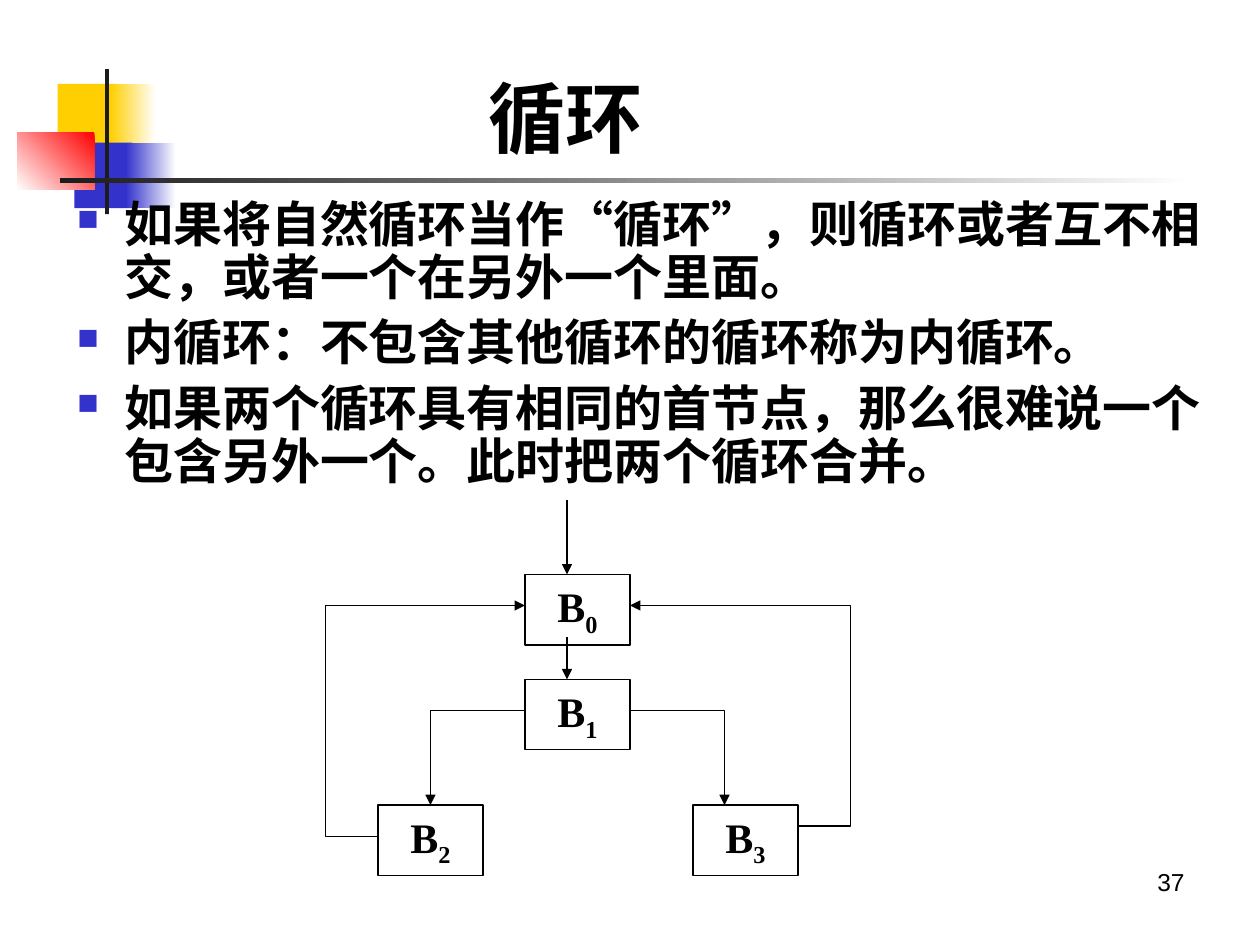
from dataclasses import dataclass

from lxml.etree import SubElement
from pptx import Presentation
from pptx.dml.color import RGBColor
from pptx.enum.shapes import MSO_CONNECTOR, MSO_SHAPE
from pptx.enum.text import MSO_ANCHOR, PP_ALIGN
from pptx.oxml.ns import qn
from pptx.util import Pt

BLACK = RGBColor(0x00, 0x00, 0x00)
WHITE = RGBColor(0xFF, 0xFF, 0xFF)
YELLOW = RGBColor(0xFF, 0xCF, 0x01)
BLUE = RGBColor(0x33, 0x33, 0xCC)
RED = RGBColor(0xFF, 0x00, 0x00)
CHARCOAL = RGBColor(0x1C, 0x1C, 0x1C)
SERIF = "Times New Roman"
BLOCK_W, BLOCK_H = 60, 40.3


@dataclass
class Bar:
    x: float
    y: float
    w: float
    h: float
    colors: tuple[RGBColor, ...]
    angle: float = 180


@dataclass
class Block:
    x: float
    y: float
    index: str


@dataclass
class Label:
    x: float
    y: float
    w: float
    h: float
    lines: list[str]
    font: str
    size: float
    bold: bool = True
    align: PP_ALIGN = PP_ALIGN.LEFT
    anchor: MSO_ANCHOR = MSO_ANCHOR.TOP


BARS = [
    Bar(33, 48, 34.5, 37.5, (YELLOW,)),
    Bar(63, 48, 26, 37.5, (WHITE, YELLOW)),
    Bar(42.5, 81.5, 33, 37.5, (BLUE,)),
    Bar(72, 81.5, 28.5, 37.5, (WHITE, BLUE)),
    Bar(10, 75.5, 44, 33, (RED, WHITE), 225),
    Bar(60, 39.5, 2.3, 83, (CHARCOAL,)),
    Bar(34.5, 102, 648, 2.8, (WHITE, CHARCOAL)),
]
BULLETS = [
    "如果将自然循环当作“循环”，则循环或者互不相交，或者一个在另外一个里面。",
    "内循环：不包含其他循环的循环称为内循环。",
    "如果两个循环具有相同的首节点，那么很难说一个包含另外一个。此时把两个循环合并。",
]
TITLE = Label(272, 39.5, 105, 55, ["循环"], SERIF, 44, anchor=MSO_ANCHOR.MIDDLE)
BODY = Label(37, 111, 668, 181.5, BULLETS, "Karla", 28)
PAGE = Label(516, 492, 168, 37.5, ["37"], "Arial", 14, False, PP_ALIGN.RIGHT)
BLOCKS = [
    Block(300, 328.3, "0"),
    Block(300, 388.2, "1"),
    Block(216, 460, "2"),
    Block(396, 460, "3"),
]
ARROWS = [(324, 286, 328.3), (324, 364.3, 388.2)]
ELBOWS = [
    [(300, 406), (246, 406), (246, 460)],
    [(360, 406), (414, 406), (414, 460)],
    [(216, 478), (186, 478), (186, 346), (300, 346)],
    [(456, 472), (486, 472), (486, 346), (360, 346)],
]


def style_font(font, name: str, size: float, bold: bool) -> None:
    font.name = name
    font.size = Pt(size)
    font.bold = bold
    font.color.rgb = BLACK


def style_arrow(sp) -> None:
    sp.line.color.rgb = BLACK
    sp.line.width = Pt(0.75)
    SubElement(sp.line._get_or_add_ln(), qn("a:tailEnd"), type="triangle")


def add_bar(shapes, bar: Bar) -> None:
    sp = shapes.add_shape(MSO_SHAPE.RECTANGLE, Pt(bar.x), Pt(bar.y), Pt(bar.w), Pt(bar.h))
    sp.shadow.inherit = False
    sp.line.fill.background()
    if len(bar.colors) == 1:
        sp.fill.solid()
        sp.fill.fore_color.rgb = bar.colors[0]
        return
    sp.fill.gradient()
    sp.fill.gradient_angle = bar.angle
    for stop, color in zip(sp.fill.gradient_stops, bar.colors):
        stop.color.rgb = color


def add_label(shapes, label: Label):
    tf = shapes.add_textbox(Pt(label.x), Pt(label.y), Pt(label.w), Pt(label.h)).text_frame
    tf.word_wrap = True
    tf.vertical_anchor = label.anchor
    tf.text = "\n".join(label.lines)
    for p in tf.paragraphs:
        p.alignment = label.align
        style_font(p.runs[0].font, label.font, label.size, label.bold)
    return tf


def add_bullets(tf) -> None:
    for i, p in enumerate(tf.paragraphs):
        p.line_spacing = 0.9
        if i:
            p.space_before = Pt(7)
        pPr = p._p.get_or_add_pPr()
        pPr.set("marL", str(Pt(27)))
        pPr.set("indent", str(-Pt(27)))
        color = SubElement(pPr, qn("a:buClr"))
        SubElement(color, qn("a:srgbClr"), val=str(BLUE))
        SubElement(pPr, qn("a:buSzPct"), val="60000")
        SubElement(pPr, qn("a:buChar"), char="■")


def add_block(shapes, block: Block) -> None:
    sp = shapes.add_shape(MSO_SHAPE.RECTANGLE, Pt(block.x), Pt(block.y), Pt(BLOCK_W), Pt(BLOCK_H))
    sp.shadow.inherit = False
    sp.fill.background()
    sp.line.color.rgb = BLACK
    sp.line.width = Pt(0.75)
    tf = sp.text_frame
    tf.vertical_anchor = MSO_ANCHOR.TOP
    tf.text = "B"
    p = tf.paragraphs[0]
    p.alignment = PP_ALIGN.CENTER
    sub = p.add_run()
    sub.text = block.index
    for r in p.runs:
        style_font(r.font, SERIF, 24, True)
    sub._r.get_or_add_rPr().set("baseline", "-25000")


def add_arrow(shapes, x: float, top: float, bottom: float) -> None:
    line = shapes.add_connector(MSO_CONNECTOR.STRAIGHT, Pt(x), Pt(top), Pt(x), Pt(bottom))
    style_arrow(line)
    SubElement(line._element.spPr, qn("a:effectLst"))


def add_elbow(shapes, points: list[tuple[float, float]]) -> None:
    start, *rest = [(Pt(x), Pt(y)) for x, y in points]
    builder = shapes.build_freeform(*start)
    builder.add_line_segments(rest, close=False)
    sp = builder.convert_to_shape()
    sp.shadow.inherit = False
    sp.fill.background()
    style_arrow(sp)


def main() -> None:
    prs = Presentation()
    prs.slide_width, prs.slide_height = Pt(720), Pt(540)
    shapes = prs.slides.add_slide(prs.slide_layouts[6]).shapes
    for bar in BARS:
        add_bar(shapes, bar)
    add_label(shapes, PAGE)
    add_label(shapes, TITLE)
    add_bullets(add_label(shapes, BODY))
    for block in BLOCKS:
        add_block(shapes, block)
    for arrow in ARROWS:
        add_arrow(shapes, *arrow)
    for points in ELBOWS:
        add_elbow(shapes, points)
    prs.save("out.pptx")


if __name__ == "__main__":
    main()
